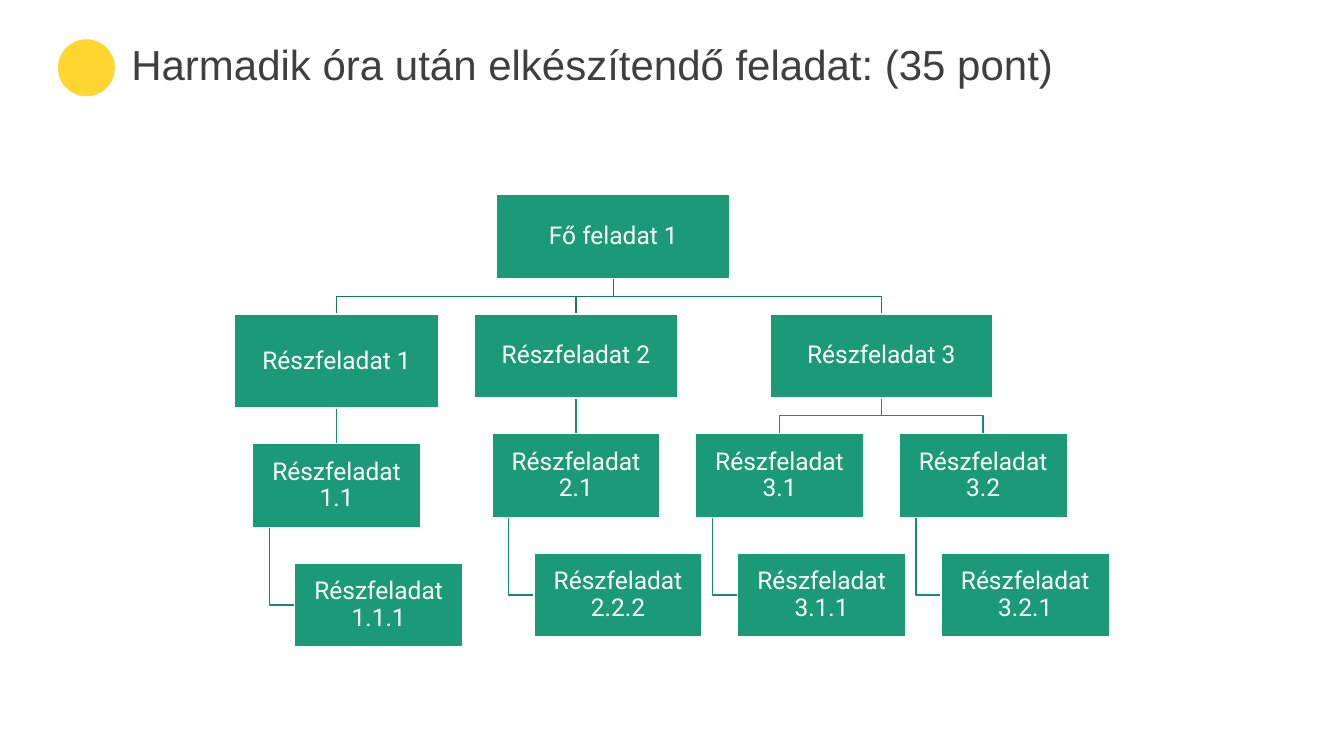
import pptx
import pptx.util
import pptx.dml.color
import pptx.enum.shapes
import pptx.enum.text
import lxml.etree

WIDTH, HEIGHT = 26.67, 15
TITLE = "Harmadik óra után elkészítendő feladat: (35 pont) "
ROOT = "Fő feladat 1"
BRANCHES = [
    ("Részfeladat 1", 4.06, 1.87, [("Részfeladat 1.1", "Részfeladat 1.1.1", 6.68)]),
    ("Részfeladat 2", 4.04, 1.67, [("Részfeladat 2.1", "Részfeladat 2.2.2", 11.43)]),
    ("Részfeladat 3", 4.41, 1.67, [("Részfeladat 3.1", "Részfeladat 3.1.1", 15.47),
                                   ("Részfeladat 3.2", "Részfeladat 3.2.1", 19.51)]),
]
ROOT_TOP, ROOT_W = 3.86, 4.63
TASK_W, TASK_H, GAP = 3.34, 1.67, 0.7
GREEN, ROOT_LINE, TASK_LINE = "1A9A76", "167A5F", "178B6A"

Inches, Pt = pptx.util.Inches, pptx.util.Pt
MSO_SHAPE = pptx.enum.shapes.MSO_SHAPE
PP_ALIGN = pptx.enum.text.PP_ALIGN
MSO_ANCHOR = pptx.enum.text.MSO_ANCHOR


def paint(fmt, color):
    fmt.solid()
    fmt.fore_color.rgb = pptx.dml.color.RGBColor.from_string(color)


def write(tf, text, size, font, color, inset_x, inset_y):
    tf.word_wrap = True
    tf.auto_size = pptx.enum.text.MSO_AUTO_SIZE.NONE
    tf.vertical_anchor = MSO_ANCHOR.MIDDLE
    tf.margin_left = tf.margin_right = Inches(inset_x)
    tf.margin_top = tf.margin_bottom = Inches(inset_y)
    p = tf.paragraphs[0]
    p.text = text
    p.alignment = PP_ALIGN.CENTER
    p.font.size, p.font.name = Pt(size), font
    paint(p.font.fill, color)
    return p


def add_shape(kind, x, y, w, h, color):
    sp = slide.shapes.add_shape(kind, Inches(x), Inches(y), Inches(w), Inches(h))
    sp.shadow.inherit = False
    paint(sp.fill, color)
    sp.line.fill.background()
    return sp


def add_box(text, x, y, w, h):
    sp = add_shape(MSO_SHAPE.RECTANGLE, x, y, w, h, GREEN)
    paint(sp.line.fill, "FFFFFF")
    sp.line.width = Pt(2)
    write(sp.text_frame, text, 35, "Roboto", "FFFFFF", 0.02, 0.02).line_spacing = 0.9


def add_link(points, color):
    pts = [(Inches(x), Inches(y)) for x, y in points]
    if len({x for x, y in pts}) == 1:
        sp = slide.shapes.add_connector(
            pptx.enum.shapes.MSO_CONNECTOR.STRAIGHT, *pts[0], *pts[-1])
        lxml.etree.SubElement(sp.line._get_or_add_ln().getparent(),
                              pptx.oxml.ns.qn("a:effectLst"))
    else:
        builder = slide.shapes.build_freeform(*pts[0])
        builder.add_line_segments(pts[1:], close=False)
        sp = builder.convert_to_shape()
        sp.fill.background()
        sp.shadow.inherit = False
    paint(sp.line.fill, color)
    sp.line.width = Pt(2)


def drop(x1, x2, y, color):
    mid = y + GAP / 2
    add_link([(x1, y), (x1, mid), (x2, mid), (x2, y + GAP)], color)


prs = pptx.Presentation()
prs.slide_width, prs.slide_height = Inches(WIDTH), Inches(HEIGHT)
slide = prs.slides.add_slide(prs.slide_layouts[5])

add_shape(MSO_SHAPE.OVAL, 1.15, 0.78, 1.13, 1.13, "FFD630")
title = slide.shapes.title
title.left, title.top, title.width, title.height = map(Inches, (1.3, 0.7, 21.14, 1.11))
write(title.text_frame, TITLE, 60, "Arial", "3F3F3F", 0.1, 0.05)
slide.shapes._spTree.append(title._element)

centers = [sum(c for *_, c in tasks) / len(tasks) for *_, tasks in BRANCHES]
root_x = (centers[0] - BRANCHES[0][1] / 2 + centers[-1] + BRANCHES[-1][1] / 2) / 2
root_bottom = ROOT_TOP + TASK_H
branch_top = root_bottom + GAP
boxes = [(ROOT, root_x - ROOT_W / 2, ROOT_TOP, ROOT_W, TASK_H)]

for (name, w, h, tasks), center in zip(BRANCHES, centers):
    drop(root_x, center, root_bottom, ROOT_LINE)
    boxes.append((name, center - w / 2, branch_top, w, h))
    bottom = branch_top + h
    task_top = bottom + GAP
    sub_top = task_top + TASK_H + GAP
    for task, subtask, x in tasks:
        drop(center, x, bottom, TASK_LINE)
        left = x - TASK_W / 2
        sub_left = left + TASK_W / 4
        stem, sub_mid = left + TASK_W / 10, sub_top + TASK_H / 2
        add_link([(stem, task_top + TASK_H), (stem, sub_mid), (sub_left, sub_mid)], TASK_LINE)
        boxes.append((task, left, task_top, TASK_W, TASK_H))
        boxes.append((subtask, sub_left, sub_top, TASK_W, TASK_H))

for box in boxes:
    add_box(*box)

prs.save("out.pptx")
